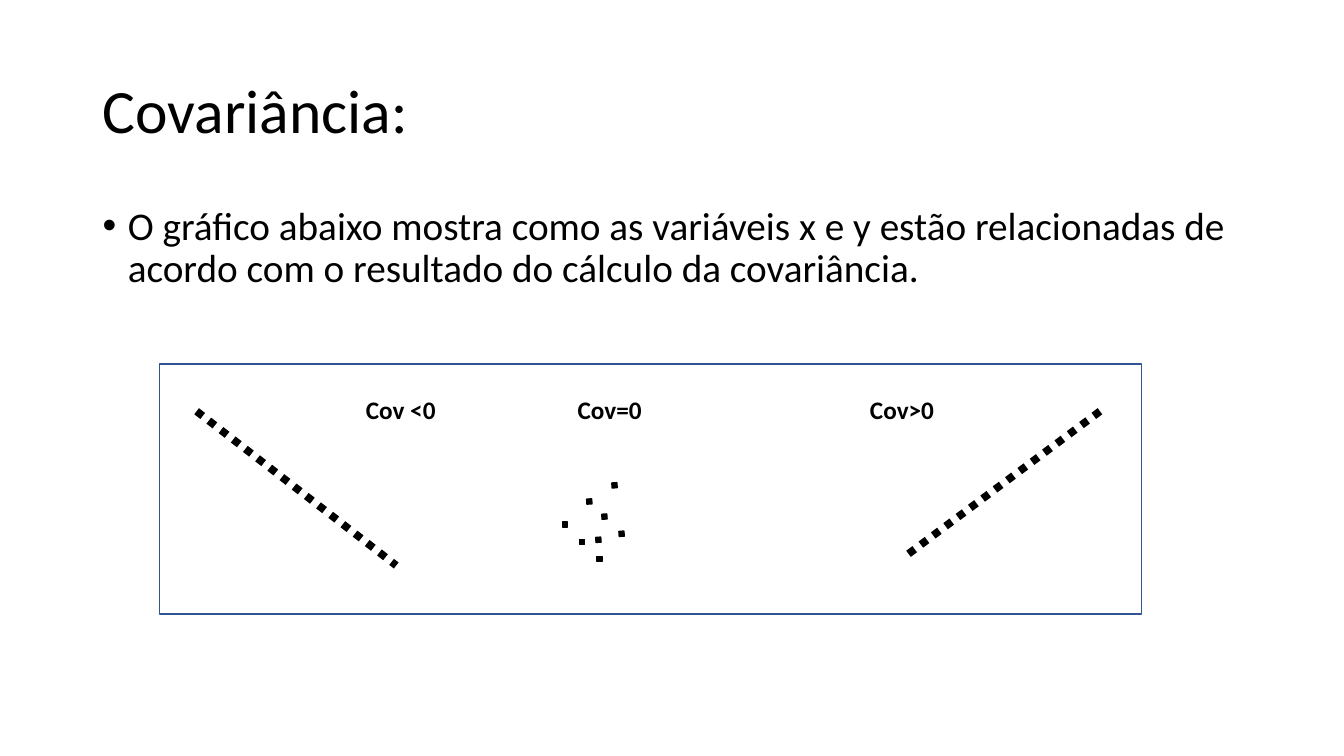
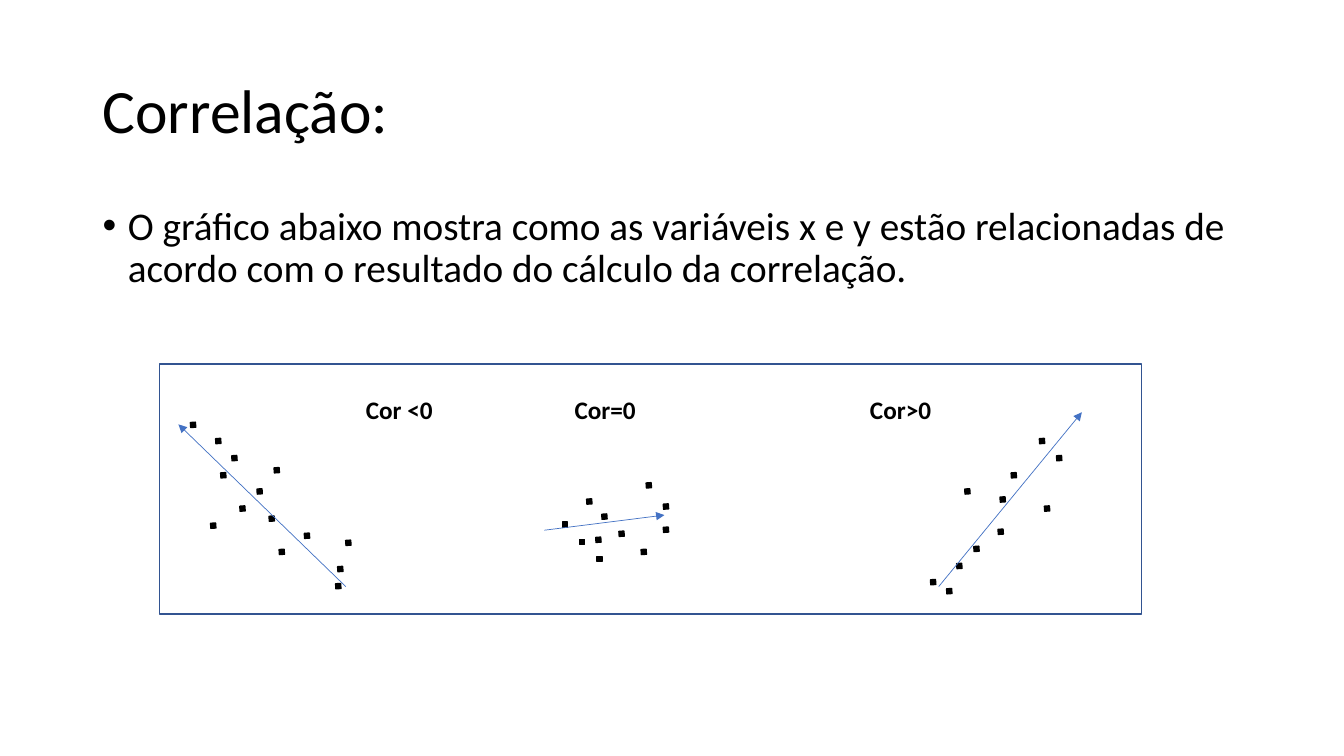
"""Build two slides on how covariance and correlation relate x and y."""
from dataclasses import dataclass
from typing import NamedTuple

from lxml.etree import SubElement
from pptx import Presentation
from pptx.dml.color import RGBColor
from pptx.enum.dml import MSO_LINE
from pptx.enum.shapes import MSO_CONNECTOR, MSO_SHAPE
from pptx.enum.text import MSO_ANCHOR
from pptx.oxml.ns import qn
from pptx.slide import Slide
from pptx.text.text import TextFrame, _Paragraph
from pptx.util import Inches, Pt


@dataclass(frozen=True)
class Theme:
    font: str = "Calibri"
    ink: RGBColor = RGBColor(0x00, 0x00, 0x00)
    frame: RGBColor = RGBColor(0x32, 0x54, 0x91)
    arrow: RGBColor = RGBColor(0x44, 0x72, 0xC4)
    title_size: float = 44
    body_size: float = 28
    label_size: float = 18
    outline: float = 1
    dotted_width: float = 5.5
    arrow_width: float = 0.5
    line_spacing: float = 0.9


class Box(NamedTuple):
    left: float
    top: float
    width: float
    height: float


class Dot(NamedTuple):
    left: float
    top: float
    tilt: float = 355.9


class Trend(NamedTuple):
    start: tuple[float, float]
    end: tuple[float, float]
    arrow: bool


@dataclass(frozen=True)
class Topic:
    title: str
    measure: str
    symbol: str
    zero_tab: float
    trends: list[Trend]
    dots: list[Dot]


THEME = Theme()
TITLE_BOX = Box(0.92, 0.4, 11.5, 1.45)
BODY_BOX = Box(0.92, 2, 11.5, 4.76)
CHART_FRAME = Box(1.58, 3.61, 9.74, 2.48)
LABEL_BOX = Box(3.53, 3.86, 6.45, 0.4)
POSITIVE_TAB = 5
DOT_SIZE = 0.05
BULLET_INDENT = 0.25

ZERO_CLOUD = [
    Dot(5.58, 5.18, 0), Dot(5.75, 5.35, 0), Dot(5.92, 5.52, 0),
    Dot(5.97, 5.1), Dot(6.14, 5.27), Dot(5.91, 5.33), Dot(5.82, 4.95),
]
WIDE_CLOUD = [Dot(6.41, 4.79), Dot(6.58, 5), Dot(6.58, 5.23), Dot(6.36, 5.45)]
NEGATIVE_CLOUD = [
    Dot(1.89, 4.19), Dot(2.14, 4.35), Dot(2.3, 4.52), Dot(2.72, 4.64),
    Dot(2.19, 4.69), Dot(2.55, 4.85), Dot(2.38, 5.02), Dot(2.67, 5.12),
    Dot(2.09, 5.19), Dot(3.02, 5.29), Dot(3.43, 5.36), Dot(2.77, 5.45),
    Dot(3.35, 5.62), Dot(3.33, 5.79),
]
POSITIVE_CLOUD = [
    Dot(10.31, 4.35), Dot(10.48, 4.52), Dot(10.03, 4.69), Dot(9.57, 4.85),
    Dot(9.92, 4.93), Dot(10.36, 5.02), Dot(9.9, 5.25), Dot(9.66, 5.42),
    Dot(9.49, 5.59), Dot(9.23, 5.75), Dot(9.39, 5.84),
]

TOPICS = [
    Topic(
        "Covariância:", "covariância", "Cov", 2.1,
        [
            Trend((1.95, 4.08), (3.93, 5.61), False),
            Trend((10.91, 4.08), (8.99, 5.51), False),
        ],
        [*ZERO_CLOUD, Dot(6.07, 4.79)],
    ),
    Topic(
        "Correlação:", "correlação", "Cor", 2.07,
        [
            Trend((9.31, 5.82), (10.73, 4.09), True),
            Trend((3.43, 5.82), (1.77, 4.21), True),
            Trend((5.4, 5.26), (6.59, 5.11), True),
        ],
        [*ZERO_CLOUD, *WIDE_CLOUD, *NEGATIVE_CLOUD, *POSITIVE_CLOUD],
    ),
]


def add_frame(slide: Slide, box: Box) -> TextFrame:
    frame = slide.shapes.add_textbox(*map(Inches, box)).text_frame
    frame.word_wrap = True
    return frame


def add_run(paragraph: _Paragraph, text: str, size: float, bold: bool = False) -> None:
    run = paragraph.add_run()
    run.text = text
    run.font.name = THEME.font
    run.font.size = Pt(size)
    run.font.bold = bold
    run.font.color.rgb = THEME.ink


def add_title(slide: Slide, text: str) -> None:
    frame = add_frame(slide, TITLE_BOX)
    frame.vertical_anchor = MSO_ANCHOR.MIDDLE
    frame.paragraphs[0].line_spacing = THEME.line_spacing
    add_run(frame.paragraphs[0], text, THEME.title_size)


def add_body(slide: Slide, measure: str) -> None:
    paragraph = add_frame(slide, BODY_BOX).paragraphs[0]
    paragraph.line_spacing = THEME.line_spacing
    paragraph.space_before = Pt(10)
    properties = paragraph._p.get_or_add_pPr()
    properties.set("marL", str(Inches(BULLET_INDENT)))
    properties.set("indent", str(-Inches(BULLET_INDENT)))
    SubElement(properties, qn("a:buFont"), typeface="Arial")
    SubElement(properties, qn("a:buChar"), char="•")
    add_run(
        paragraph,
        "O gráfico abaixo mostra como as variáveis x e y estão relacionadas "
        f"de acordo com o resultado do cálculo da {measure}.",
        THEME.body_size,
    )


def add_labels(slide: Slide, symbol: str, zero_tab: float) -> None:
    paragraph = add_frame(slide, LABEL_BOX).paragraphs[0]
    stops = SubElement(paragraph._p.get_or_add_pPr(), qn("a:tabLst"))
    for stop in (zero_tab, POSITIVE_TAB):
        SubElement(stops, qn("a:tab"), pos=str(Inches(stop)), algn="l")
    for relation in (" <0", "\t{}=0", "\t{}>0"):
        text = relation.format(symbol) if "{}" in relation else symbol + relation
        add_run(paragraph, text, THEME.label_size, bold=True)


def add_chart_frame(slide: Slide) -> None:
    frame = slide.shapes.add_shape(MSO_SHAPE.RECTANGLE, *map(Inches, CHART_FRAME))
    frame.shadow.inherit = False
    frame.fill.background()
    frame.line.color.rgb = THEME.frame
    frame.line.width = Pt(THEME.outline)


def add_dot(slide: Slide, dot: Dot) -> None:
    box = Box(dot.left, dot.top, DOT_SIZE, DOT_SIZE)
    mark = slide.shapes.add_shape(MSO_SHAPE.RECTANGLE, *map(Inches, box))
    mark.shadow.inherit = False
    mark.rotation = dot.tilt
    mark.fill.solid()
    mark.fill.fore_color.rgb = THEME.ink
    mark.line.color.rgb = THEME.ink
    mark.line.width = Pt(THEME.outline)


def add_trend(slide: Slide, trend: Trend) -> None:
    line = slide.shapes.add_connector(
        MSO_CONNECTOR.STRAIGHT, *map(Inches, trend.start + trend.end)
    )
    line.line.color.rgb = THEME.arrow if trend.arrow else THEME.ink
    line.line.width = Pt(THEME.arrow_width if trend.arrow else THEME.dotted_width)
    properties = line.element.spPr
    if trend.arrow:
        SubElement(properties.find(qn("a:ln")), qn("a:tailEnd"), type="triangle")
    else:
        line.line.dash_style = MSO_LINE.ROUND_DOT
    SubElement(properties, qn("a:effectLst"))


def add_topic(slide: Slide, topic: Topic) -> None:
    add_title(slide, topic.title)
    add_body(slide, topic.measure)
    add_chart_frame(slide)
    add_labels(slide, topic.symbol, topic.zero_tab)
    for dot in topic.dots:
        add_dot(slide, dot)
    for trend in topic.trends:
        add_trend(slide, trend)


def main() -> None:
    deck = Presentation()
    deck.slide_width = Inches(13.33)
    deck.slide_height = Inches(7.5)
    blank = deck.slide_layouts[6]
    for topic in TOPICS:
        add_topic(deck.slides.add_slide(blank), topic)
    deck.save("out.pptx")


if __name__ == "__main__":
    main()
